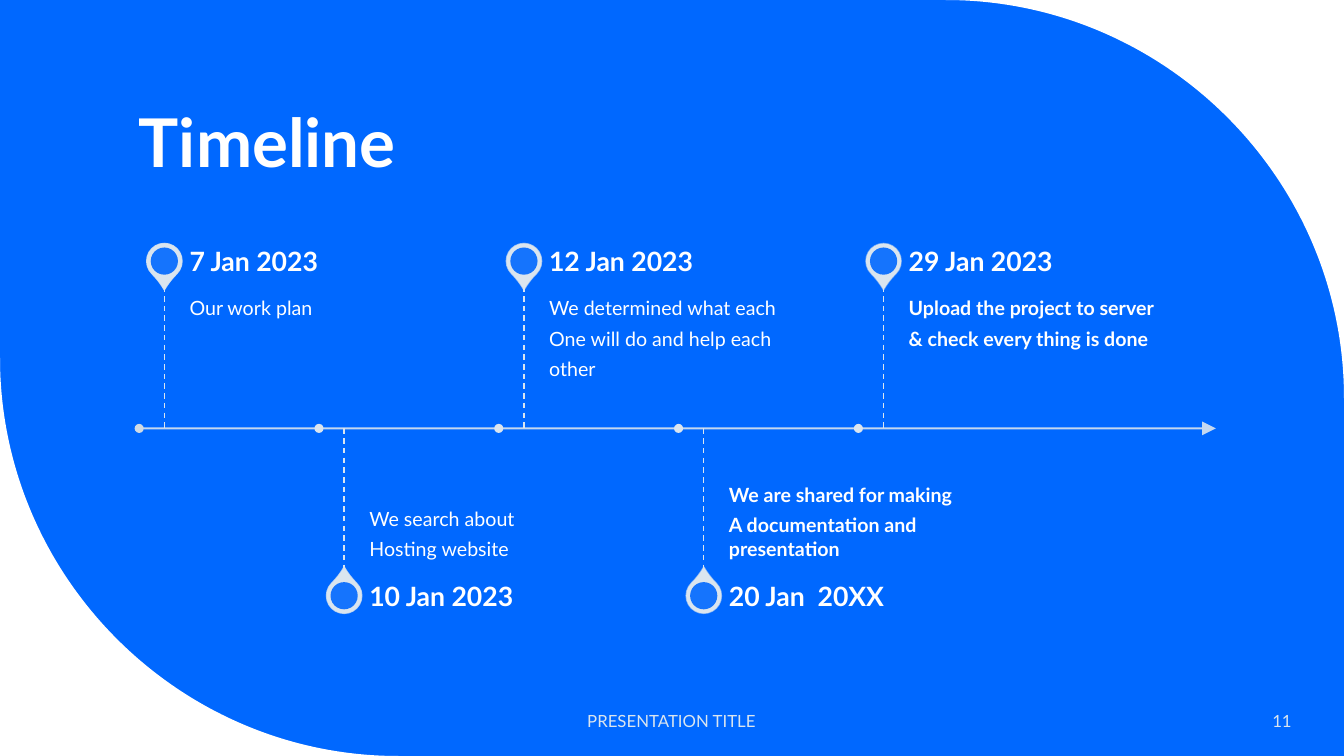
import dataclasses
import typing

import lxml.etree
import pptx
import pptx.dml.color
import pptx.enum.dml
import pptx.enum.shapes
import pptx.enum.text
import pptx.oxml.ns
import pptx.util

# Grid: six columns along the axis, rows mirrored above and below it
WIDE, HIGH = 13.33, 7.5
LEFT, MID = 1.36, 4.25
COL = 10.7 / 6
STEM, DATE = 1.41, 0.5
CURVE, BEND = 3.95, 0.55
PIN, HOLE, DOT = 0.35, 0.27, 0.09

BLUE, WHITE, PALE, GREY = "0068FF", "FFFFFF", "DAE5EF", "D0DBE4"
FONT = "Lato"
SHAPE = pptx.enum.shapes.MSO_SHAPE
ALIGN = pptx.enum.text.PP_ALIGN
ANCHOR = pptx.enum.text.MSO_ANCHOR
Box = tuple[float, float, float, float]


@dataclasses.dataclass
class Event:
    date: str
    lines: list[str]
    bold: bool = False


EVENTS = [
    Event("7 Jan 2023", ["Our work plan"]),
    Event("10 Jan 2023", ["We search about", "Hosting website"]),
    Event("12 Jan 2023", ["We determined what each", "One will do and help each", "other"]),
    Event("20 Jan  20XX", ["We are shared for making", "A documentation and presentation"], True),
    Event("29 Jan 2023", ["Upload the project to server", "& check every thing is done"], True),
]

deck = pptx.Presentation()
deck.slide_width = pptx.util.Inches(WIDE)
deck.slide_height = pptx.util.Inches(HIGH)
slide = deck.slides.add_slide(deck.slide_layouts[6])


def inch(*nums: float) -> list[int]:
    return [pptx.util.Inches(num) for num in nums]


def child(node: typing.Any, tag: str, **attrs: str) -> typing.Any:
    return lxml.etree.SubElement(node, pptx.oxml.ns.qn(tag), **attrs)


def paint(fill: typing.Any, tint: str, alpha: int = 100) -> None:
    """Set a solid colour, with alpha as a percentage."""
    fill.solid()
    fill.fore_color.rgb = pptx.dml.color.RGBColor.from_string(tint)
    if alpha < 100:
        node = fill._xPr.find(".//" + pptx.oxml.ns.qn("a:srgbClr"))
        child(node, "a:alpha", val=str(alpha * 1000))


def write(text: list[str], box: Box, *, size: float, tint: str = WHITE,
          bold: bool = False, align: typing.Any = ALIGN.LEFT,
          anchor: typing.Any = ANCHOR.MIDDLE, inset: Box = (0.1, 0.05, 0.1, 0.05),
          after: int = 0, lead: float = 1) -> None:
    """Write paragraphs; the space after each is a percentage of a line."""
    frame = slide.shapes.add_textbox(*inch(*box)).text_frame
    frame.word_wrap = True
    frame.vertical_anchor = anchor
    (frame.margin_left, frame.margin_top,
     frame.margin_right, frame.margin_bottom) = inch(*inset)
    for num, line in enumerate(text):
        para = frame.add_paragraph() if num else frame.paragraphs[0]
        para.alignment = align
        para.line_spacing = lead
        if after:
            space = child(para._p.get_or_add_pPr(), "a:spcAft")
            child(space, "a:spcPct", val=str(after * 1000))
        run = para.add_run()
        run.text = line
        run.font.name = FONT
        run.font.size = pptx.util.Pt(size)
        run.font.bold = bold
        paint(run.font.fill, tint)


def clean(shape: typing.Any, tint: str, alpha: int = 100) -> None:
    """Give a shape a plain fill, without shadow or outline."""
    shape.shadow.inherit = False
    paint(shape.fill, tint, alpha)
    shape.line.fill.background()


def place(kind: typing.Any, x: float, y: float, size: float, tint: str,
          alpha: int = 100, turn: float = 0) -> typing.Any:
    """Draw a shape centred on x, y."""
    shape = slide.shapes.add_shape(kind, *inch(x - size / 2, y - size / 2, size, size))
    shape.rotation = turn
    clean(shape, tint, alpha)
    return shape


def rule(x1: float, y1: float, x2: float, y2: float, width: float,
         alpha: int = 100) -> typing.Any:
    line = slide.shapes.add_connector(
        pptx.enum.shapes.MSO_CONNECTOR.STRAIGHT, *inch(x1, y1, x2, y2))
    line.line.width = pptx.util.Pt(width)
    paint(line.line.fill, PALE, alpha)
    child(line._element.spPr, "a:effectLst")
    return line


def corner(x: float, y: float, sign: int) -> None:
    """Fill the space between a slide corner and a quarter circle."""
    near, far = x - sign * CURVE, y + sign * CURVE
    pen = slide.shapes.build_freeform(*inch(x, y))
    pen.add_line_segments([inch(near, y), inch(x, far)], close=True)
    shape = pen.convert_to_shape()
    clean(shape, WHITE)

    # Bend the second side into a curve
    side = shape._element.findall(".//" + pptx.oxml.ns.qn("a:lnTo"))[1]
    bend = lxml.etree.Element(pptx.oxml.ns.qn("a:cubicBezTo"))
    pull = sign * CURVE * BEND
    for across, down in [(near + pull, y), (x, far - pull), (x, far)]:
        spot = inch(across - min(x, near), down - min(y, far))
        child(bend, "a:pt", x=str(spot[0]), y=str(spot[1]))
    side.getparent().replace(side, bend)


def mark(num: int, event: Event) -> None:
    """Draw one event: above the axis if num is even, else below."""
    above = num % 2 == 0
    side = -1 if above else 1
    x = LEFT + num * COL + 0.27
    tip = MID + side * STEM
    hub = tip + side * DATE / 2

    # Pin
    turn = 135 if above else 315
    pin = place(SHAPE.TEAR, x, hub, PIN, PALE, turn=turn)
    pin.adjustments[0] = 1.15
    pin.line.width = pptx.util.Pt(1)
    paint(pin.line.fill, PALE, 90 - 10 * num)
    place(SHAPE.OVAL, x, hub, HOLE, BLUE, 90, turn)

    # Words
    left, wide = x + 0.25, 2.96
    write(event.lines, (left, min(tip, MID), wide, STEM), size=14, bold=event.bold,
          anchor=ANCHOR.TOP if above else ANCHOR.BOTTOM, after=35,
          inset=(0, 0.1, 0.1, 0.15) if above else (0, 0.15, 0, 0.1))
    write([event.date], (left, hub - DATE / 2, wide, DATE), size=19, bold=True,
          inset=(0, 0, 0.13, 0), after=35)

    # Stem and dot
    stem = rule(x, min(tip, MID), x, max(tip, MID), 1)
    stem.line.dash_style = pptx.enum.dml.MSO_LINE.DASH
    place(SHAPE.OVAL, x - 0.25, MID, DOT, PALE if num else GREY)


# Ground and title
paint(slide.background.fill, BLUE)
corner(WIDE, 0, 1)
corner(0, HIGH, -1)
write(["Timeline"], (1.28, 0.41, 10.69, 1.45), size=48, bold=True,
      anchor=ANCHOR.BOTTOM, lead=0.9)

# Axis with its arrow
axis = rule(LEFT, MID, LEFT + 6 * COL, MID, 1.5, 90)
child(axis.line._ln, "a:tailEnd", type="triangle", w="lg", len="lg")

for num, event in enumerate(EVENTS):
    mark(num, event)

# Footer
write(["PRESENTATION TITLE"], (4.41, 6.95, 4.5, 0.4), size=12, tint=PALE, align=ALIGN.CENTER)
write(["11"], (11.1, 6.95, 1.81, 0.4), size=12, tint=PALE, align=ALIGN.RIGHT)

deck.save("out.pptx")
